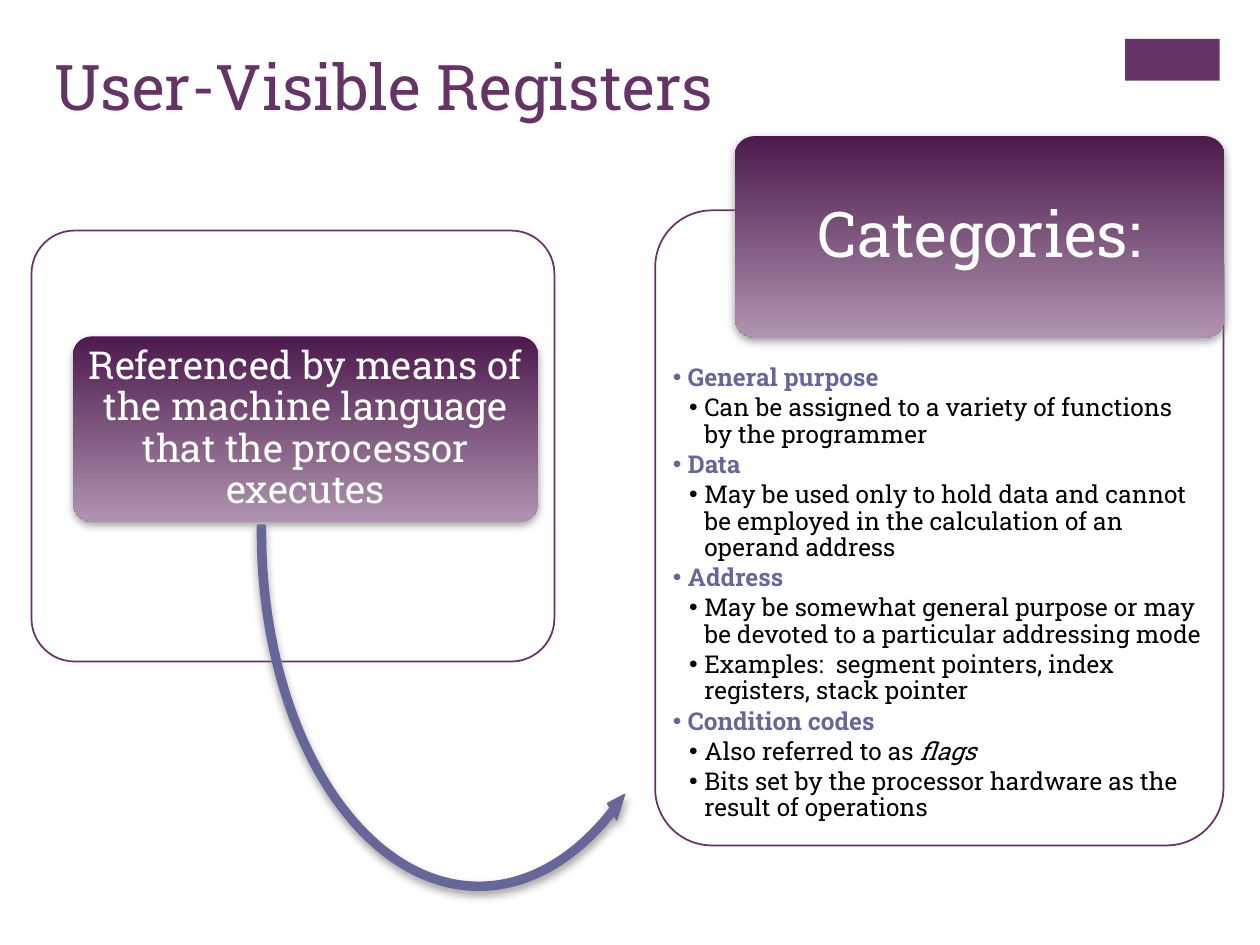
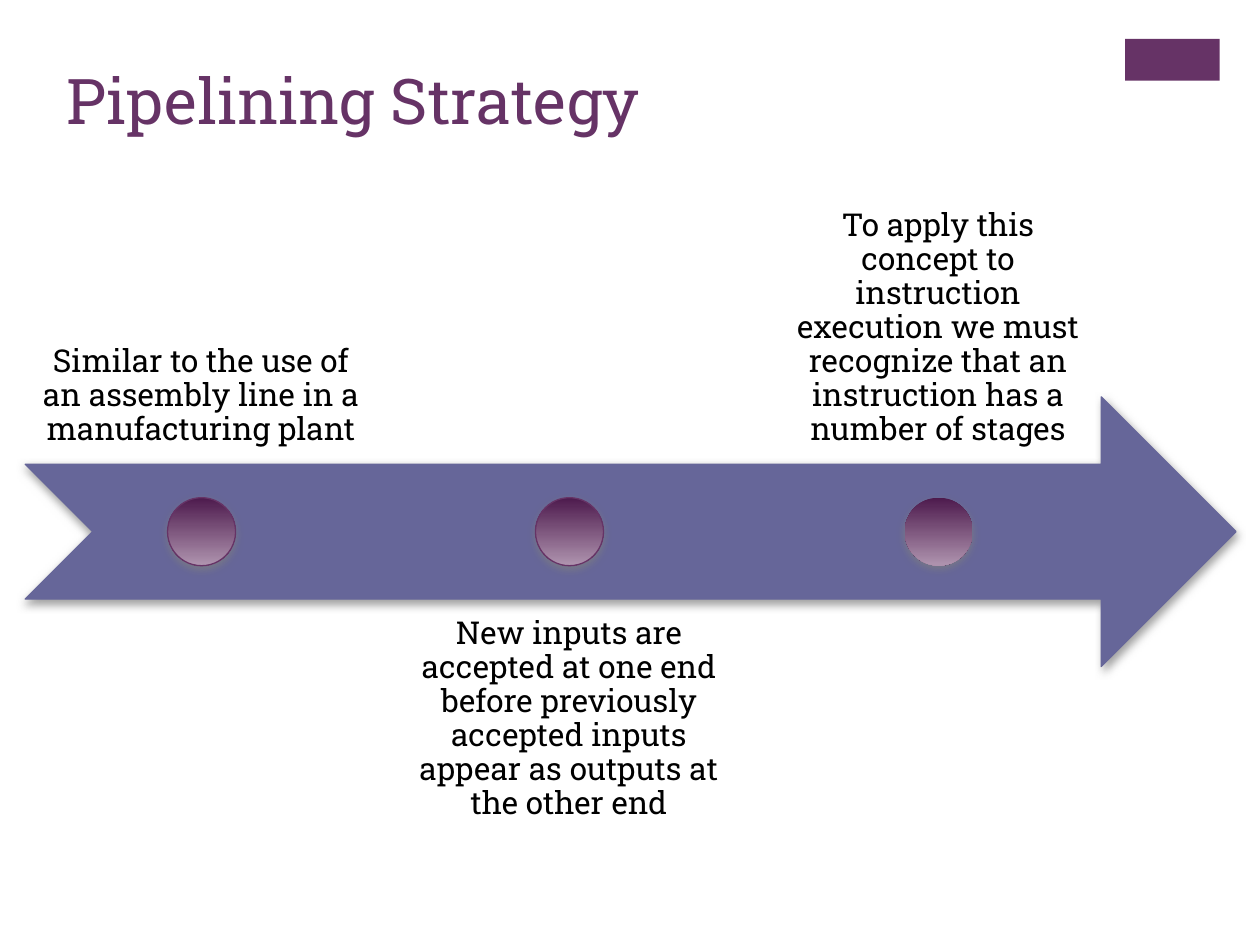
import pptx
import pptx.dml.color
import pptx.enum.shapes
import pptx.enum.text
import pptx.oxml.ns
import pptx.util
from lxml import etree

EMU_PER_PX = 9144
FONT = "Roboto Slab"
COLORS = {
    "plum": "663366",
    "dark plum": "4D1A4D",
    "pale plum": "AF94AF",
    "slate": "666699",
    "gray": "808080",
    "white": "FFFFFF",
    "black": "000000",
}
SHAPES = pptx.enum.shapes.MSO_SHAPE
ANCHORS = pptx.enum.text.MSO_ANCHOR
ALIGNMENTS = pptx.enum.text.PP_ALIGN

CATEGORIES = {
    "General purpose": [
        "Can be assigned to a variety of functions by the programmer",
    ],
    "Data": [
        "May be used only to hold data and cannot be employed in the calculation of an operand address",
    ],
    "Address": [
        "May be somewhat general purpose or may be devoted to a particular addressing mode",
        "Examples:  segment pointers, index registers, stack pointer",
    ],
    "Condition codes": [
        "Also referred to as *flags*",
        "Bits set by the processor hardware as the result of operations",
    ],
}
PIPELINE_POINTS = [
    "Similar to the use of an assembly line in a manufacturing plant",
    "New inputs are accepted at one end before previously accepted inputs appear as outputs at the other end",
    "To apply this concept to instruction execution we must recognize that an instruction has a number of stages",
]


def px(length):
    return pptx.util.Emu(length * EMU_PER_PX)


def rgb(name):
    return pptx.dml.color.RGBColor.from_string(COLORS[name])


def add_xml(parent, tag, **attributes):
    return etree.SubElement(parent, pptx.oxml.ns.qn(tag), attributes)


def write(frame, text, size, color, bold=False, align=ALIGNMENTS.CENTER,
          spacing=0.9, after=0, level=0, bullet_indent=None):
    first = frame.paragraphs[0]
    paragraph = frame.add_paragraph() if first.runs else first
    if bullet_indent is not None:
        properties = paragraph._p.get_or_add_pPr()
        properties.set("marL", str(px(bullet_indent)))
        properties.set("indent", str(px(-12)))
        add_xml(properties, "a:buChar", char="•")
    paragraph.level = level
    paragraph.alignment = align
    paragraph.line_spacing = spacing
    paragraph.space_before = pptx.util.Pt(0)
    paragraph.space_after = pptx.util.Pt(after)
    for index, part in enumerate(text.split("*")):
        if part:
            run = paragraph.add_run()
            run.text = part
            run.font.name = FONT
            run.font.size = pptx.util.Pt(size)
            run.font.bold = bold
            run.font.italic = index % 2 == 1
            run.font.color.rgb = rgb(color)


class Deck:
    def __init__(self):
        self.presentation = pptx.Presentation()
        self.presentation.slide_width = px(1000)
        self.presentation.slide_height = px(750)
        self.slide = None

    def new_slide(self, layout, title, left, top):
        self.slide = self.presentation.slides.add_slide(
            self.presentation.slide_layouts.get_by_name(layout))
        self.shape(SHAPES.RECTANGLE, 893, 31, 75, 33, "plum")
        heading = self.slide.shapes.title
        self.place(heading, left, top, 826, 122)
        frame = self.frame(heading, 10, 5, ANCHORS.TOP)
        write(frame, title, 36, "plum", align=ALIGNMENTS.LEFT, spacing=1.0)

    def place(self, shape, left, top, width, height):
        shape.left, shape.top = px(left), px(top)
        shape.width, shape.height = px(width), px(height)

    def frame(self, shape, side, end, anchor):
        frame = shape.text_frame
        frame.word_wrap = True
        frame.auto_size = pptx.enum.text.MSO_AUTO_SIZE.NONE
        frame.vertical_anchor = anchor
        frame.margin_left = frame.margin_right = px(side)
        frame.margin_top = frame.margin_bottom = px(end)
        return frame

    def shape(self, kind, left, top, width, height, fill=None, line=None,
              line_width=0.75, shadow=False, adjustments=()):
        shape = self.slide.shapes.add_shape(
            kind, px(left), px(top), px(width), px(height))
        for index, value in enumerate(adjustments):
            shape.adjustments[index] = value
        if fill:
            shape.fill.solid()
            shape.fill.fore_color.rgb = rgb(fill)
        else:
            shape.fill.gradient()
            shape.fill.gradient_angle = 270
            for stop, color in zip(shape.fill.gradient_stops, ("dark plum", "pale plum")):
                stop.color.rgb = rgb(color)
        if line:
            shape.line.color.rgb = rgb(line)
            shape.line.width = pptx.util.Pt(line_width)
        else:
            shape.line.fill.background()
        shape.shadow.inherit = False
        if shadow:
            self.drop_shadow(shape)
        return shape

    def drop_shadow(self, shape):
        effects = shape.element.spPr.find(pptx.oxml.ns.qn("a:effectLst"))
        outer = add_xml(effects, "a:outerShdw", blurRad=str(pptx.util.Pt(5)),
                        dist=str(pptx.util.Pt(2)), dir="5400000", rotWithShape="0")
        color = add_xml(outer, "a:srgbClr", val=COLORS["gray"])
        add_xml(color, "a:alpha", val="75000")

    def panel(self, left, top, width, height):
        panel = self.shape(SHAPES.ROUNDED_RECTANGLE, left, top, width, height,
                           "white", "plum", 1, adjustments=[0.1])
        color = panel.fill._xPr.find(".//" + pptx.oxml.ns.qn("a:srgbClr"))
        add_xml(color, "a:alpha", val="90000")

    def plaque(self, text, size, left, top, width, height):
        plaque = self.shape(SHAPES.ROUNDED_RECTANGLE, left, top, width, height,
                            shadow=True, adjustments=[0.1])
        write(self.frame(plaque, 4, 3, ANCHORS.MIDDLE), text, size, "white")

    def label(self, text, left, top, width, height, anchor):
        box = self.slide.shapes.add_textbox(px(left), px(top), px(width), px(height))
        write(self.frame(box, 14, 14, anchor), text, 18, "black")

    def bullet_list(self, groups, left, top, width, height):
        body = self.slide.placeholders[1]
        self.place(body, left, top, width, height)
        self.slide.shapes.element.append(body.element)
        frame = self.frame(body, 3, 3, ANCHORS.TOP)
        for heading, points in groups.items():
            write(frame, heading, 14, "slate", bold=True, align=ALIGNMENTS.LEFT,
                  after=2.1, bullet_indent=12)
            for point in points:
                write(frame, point, 14, "black", align=ALIGNMENTS.LEFT,
                      after=2.1, level=1, bullet_indent=25)


def build_registers(deck):
    deck.new_slide("Title and Content", "User-Visible Registers", 33, 33)
    deck.panel(25, 183, 415, 342)
    deck.shape(SHAPES.LEFT_CIRCULAR_ARROW, 200, 133, 360, 578, "slate", "slate",
               shadow=True, adjustments=[0.018, 2.16, 38.717, 109.047, 0.021])
    deck.plaque("Referenced by means of the machine language that the processor executes",
                22, 58, 267, 369, 147)
    deck.panel(520, 167, 451, 504)
    deck.bullet_list(CATEGORIES, 531, 287, 427, 373)
    deck.plaque("Categories:", 36, 583, 108, 389, 160)


def build_pipelining(deck):
    deck.new_slide("Title Only", "Pipelining Strategy", 43, 44)
    deck.shape(SHAPES.NOTCHED_RIGHT_ARROW, 20, 315, 961, 214, "slate", "slate", shadow=True)
    for index, point in enumerate(PIPELINE_POINTS):
        left = 20 + index * 585 // 2
        below = index % 2 == 1
        last = index == len(PIPELINE_POINTS) - 1
        deck.label(point, left, 476 if below else 155, 279, 214,
                   ANCHORS.TOP if below else ANCHORS.BOTTOM)
        deck.shape(SHAPES.OVAL, left + 113, 395, 54, 54,
                   line=None if last else "plum", shadow=True)


def main():
    deck = Deck()
    build_registers(deck)
    build_pipelining(deck)
    deck.presentation.save("out.pptx")


if __name__ == "__main__":
    main()
